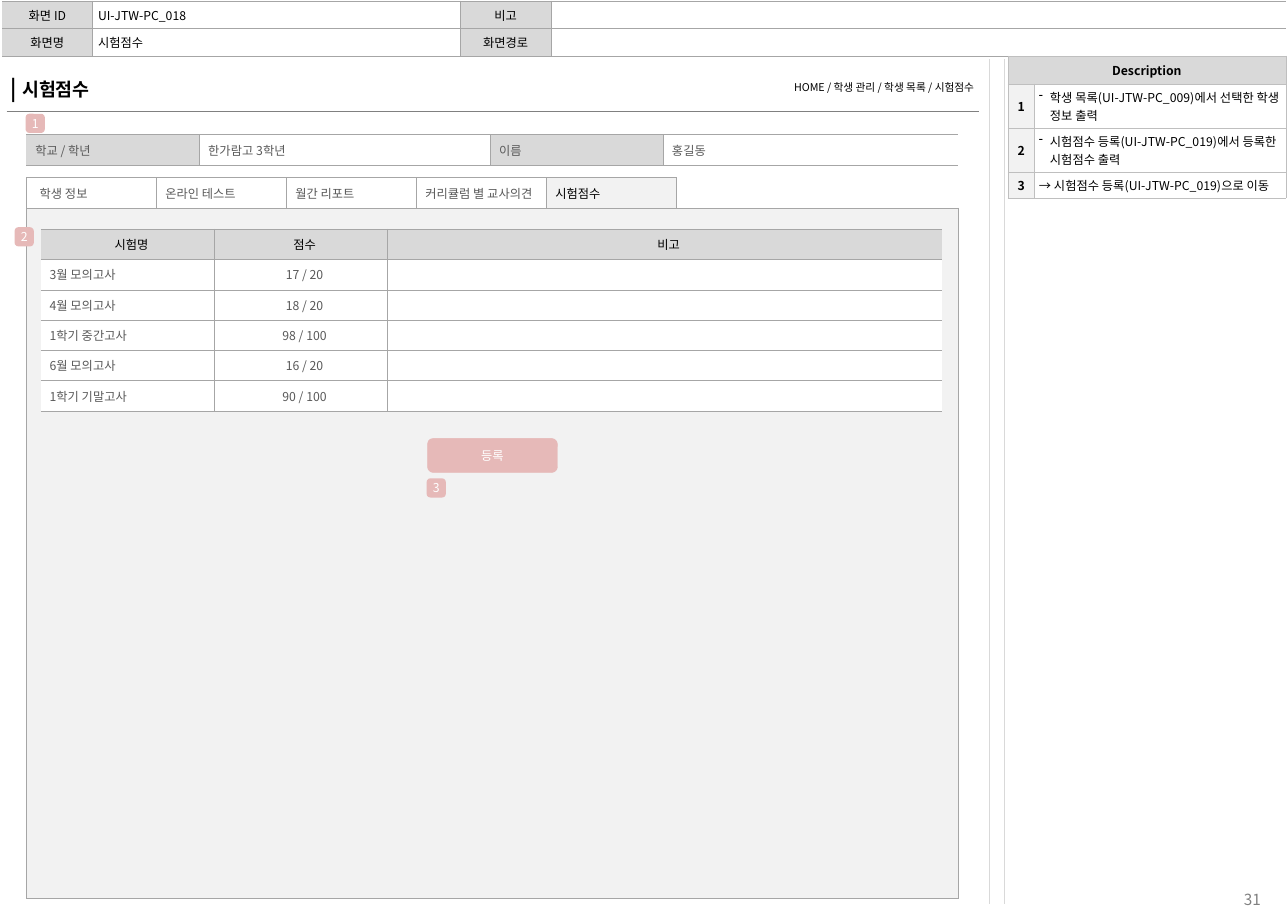
from dataclasses import dataclass, replace
from typing import NamedTuple

from lxml import etree
from pptx import Presentation
from pptx.dml.color import RGBColor
from pptx.enum.shapes import MSO_CONNECTOR as Link, MSO_SHAPE as Kind
from pptx.enum.text import MSO_ANCHOR as Anchor, PP_ALIGN as Align
from pptx.oxml.ns import qn
from pptx.util import Inches, Pt

FACE = "Noto Sans CJK KR"
WHITE, PALE, GREY, EDGE = "FFFFFF", "F2F2F2", "D9D9D9", "A6A6A6"
BLACK, TEXT, PINK = "000000", "595959", "E6B9B8"


def edges(sides: str, hue: str = EDGE, width: float = 0.25) -> dict:
    return {side: (hue, width) for side in sides}


@dataclass(frozen=True)
class Cell:
    text: str = ""
    fill: str = WHITE
    hue: str = TEXT
    align: Align = Align.LEFT
    size: float = 8
    bold: bool = False
    lead: str = ""
    bullet: bool = False
    pad: tuple = (0.08, 0, 0, 0)
    sides: tuple = tuple(edges("LRTB").items())


class Grid(NamedTuple):
    left: float
    top: float
    cols: list
    rows: list
    cells: list


class Badge(NamedTuple):
    text: str
    left: float
    top: float
    width: float = 0.16
    height: float = 0.16
    line: float = 1


def color(hue: str) -> RGBColor:
    return RGBColor.from_string(hue)


def apply(item, values: dict) -> None:
    for name, value in values.items():
        setattr(item, name, value)


def margins(pad: tuple) -> dict:
    names = ("margin_left", "margin_top", "margin_right", "margin_bottom")
    return dict(zip(names, map(Inches, pad)))


def write(para, text: str, size: float, hue: str, bold: bool = False) -> None:
    run = para.add_run()
    run.text = text
    run.font.color.rgb = color(hue)
    apply(run.font, {"size": Pt(size), "bold": bold, "name": FACE})
    etree.SubElement(run.font._element, qn("a:ea"), typeface=FACE)


def border(cell, sides: dict) -> None:
    props = cell._tc.get_or_add_tcPr()
    for side in "LRTB":
        hue, width = sides.get(side, (None, 0))
        line = etree.SubElement(props, qn(f"a:ln{side}"), w=str(Pt(width)))
        if hue:
            fill = etree.SubElement(line, qn("a:solidFill"))
            etree.SubElement(fill, qn("a:srgbClr"), val=hue)
        else:
            etree.SubElement(line, qn("a:noFill"))


def fill_cell(box, cell: Cell) -> None:
    apply(box, {"vertical_anchor": Anchor.MIDDLE, **margins(cell.pad)})
    border(box, dict(cell.sides))
    box.fill.solid()
    box.fill.fore_color.rgb = color(cell.fill)
    para = box.text_frame.paragraphs[0]
    para.alignment = cell.align
    if cell.bullet:
        props = para._p.get_or_add_pPr()
        props.set("marL", str(Inches(0.1)))
        props.set("indent", str(Inches(-0.1)))
        etree.SubElement(props, qn("a:buChar"), char="-")
    if cell.lead:
        write(para, cell.lead, 14, cell.hue, cell.bold)
    if cell.text:
        write(para, cell.text, cell.size, cell.hue, cell.bold)
    else:
        etree.SubElement(para._p, qn("a:endParaRPr"), sz="800")


def draw_grid(grid: Grid):
    sizes = map(Inches, (grid.left, grid.top, sum(grid.cols), sum(grid.rows)))
    table = slide.shapes.add_table(len(grid.rows), len(grid.cols), *sizes).table
    apply(table, {"first_row": False, "horz_banding": False})
    for col, width in zip(table.columns, grid.cols):
        col.width = Inches(width)
    for r, line in enumerate(grid.cells):
        table.rows[r].height = Inches(grid.rows[r])
        for c, cell in enumerate(line):
            fill_cell(table.cell(r, c), cell)
    return table


def draw_badge(badge: Badge) -> None:
    sizes = map(Inches, (badge.left, badge.top, badge.width, badge.height))
    shape = slide.shapes.add_shape(Kind.ROUNDED_RECTANGLE, *sizes)
    shape.shadow.inherit = False
    shape.fill.solid()
    shape.fill.fore_color.rgb = shape.line.color.rgb = color(PINK)
    shape.line.width = Pt(badge.line)
    apply(shape.text_frame, {"vertical_anchor": Anchor.MIDDLE, **margins((0,) * 4)})
    para = shape.text_frame.paragraphs[0]
    para.alignment = Align.CENTER
    write(para, badge.text, 8, WHITE)


def open_row(cells: list) -> list:
    """Leave the outer left and right edges of a row without a line."""
    first, *mid, last = cells
    return [replace(first, sides=tuple(edges("RTB").items())), *mid,
            replace(last, sides=tuple(edges("LTB").items()))]


deck = Presentation()
apply(deck, {"slide_width": Inches(11.69), "slide_height": Inches(8.27)})
slide = deck.slides.add_slide(deck.slide_layouts[6])

# Page number and divider lines
page = slide.shapes.add_textbox(*map(Inches, (11.18, 8.02, 0.62, 0.45))).text_frame
apply(page, {"word_wrap": True, **margins((0.11, 0.06, 0.11, 0.06))})
write(page.paragraphs[0], "31", 10, "808080")
for x in (8.98, 9.12):
    rule = slide.shapes.add_connector(Link.STRAIGHT, *map(Inches, (x, 0.54, x, 8.21)))
    rule.line.color.rgb = color(GREY)
    rule.line.width = Pt(0.75)
    etree.SubElement(rule._element.spPr, qn("a:effectLst"))

# Tabs with their panel
names = ["학생 정보", "온라인 테스트", "월간 리포트", "커리큘럼 별 교사의견"]
tabs = [Cell(name) for name in names]
tabs[0] = replace(tabs[0], pad=(0.12, 0, 0, 0))
tabs += [Cell("시험점수", PALE, BLACK), Cell(sides=tuple(edges("LB").items()))]
inner = Cell(fill=PALE, sides=tuple(edges("TB").items()))
panel = [Cell(fill=PALE), *[inner] * 4, replace(inner, sides=tuple(edges("RTB").items()))]
table = draw_grid(Grid(0.24, 1.61, [1.18] * 5 + [2.56], [0.28, 6.26], [tabs, panel]))
table.cell(1, 0).merge(table.cell(1, 5))

# Title and breadcrumb
under = edges("B", "808080")
title = Cell("시험점수", hue=BLACK, size=12, bold=True, lead="| ", pad=(0.04, 0.08, 0, 0.08),
             sides=tuple((under | edges("R", WHITE, 1)).items()))
crumb = Cell("HOME / 학생 관리 / 학생 목록 / 시험점수", hue=BLACK, size=7, align=Align.RIGHT,
             pad=(0, 0.08, 0.04, 0.08), sides=tuple((under | edges("LR", WHITE, 1)).items()))
draw_grid(Grid(0.06, 0.57, [4.41] * 2, [0.44], [[title, crumb]]))

# Screen header
value = Cell(hue=BLACK, pad=(0.05, 0.04, 0.05, 0.04))
label = replace(value, fill=GREY, align=Align.CENTER)
facts = [("화면 ID", "UI-JTW-PC_018", "비고"), ("화면명", "시험점수", "화면경로")]
head = [open_row([replace(label, text=a), replace(value, text=b), replace(label, text=c), value])
        for a, b, c in facts]
draw_grid(Grid(0.02, 0.01, [0.82, 3.34, 0.82, 6.67], [0.25] * 2, head))

# Scores
scores = [("3월 모의고사", "17 / 20"), ("4월 모의고사", "18 / 20"), ("1학기 중간고사", "98 / 100"),
          ("6월 모의고사", "16 / 20"), ("1학기 기말고사", "90 / 100")]
lines = [open_row([Cell(t, GREY, BLACK, Align.CENTER) for t in ("시험명", "점수", "비고")])]
lines += [open_row([Cell(exam), Cell(mark, align=Align.CENTER), Cell()]) for exam, mark in scores]
draw_grid(Grid(0.37, 2.08, [1.57, 1.57, 5.04], [1.65 / 6] * 6, lines))

# Student
pupil = open_row([Cell("학교 / 학년", GREY), Cell("한가람고 3학년"), Cell("이름", GREY), Cell("홍길동")])
draw_grid(Grid(0.24, 1.22, [1.57, 2.64, 1.57, 2.68], [0.28], [pupil]))

# Description
note = Cell(hue=BLACK, pad=(0.04,) * 4, sides=tuple(edges("LRTB", "BFBFBF").items()))
key = replace(note, fill=PALE, align=Align.CENTER, bold=True)
notes = ["학생 목록(UI-JTW-PC_009)에서 선택한 학생 정보 출력",
         "시험점수 등록(UI-JTW-PC_019)에서 등록한 시험점수 출력",
         "→ 시험점수 등록(UI-JTW-PC_019)으로 이동"]
lines = [[replace(key, text="Description", fill=GREY), replace(key, fill=GREY)]]
lines += [[replace(key, text=str(n)), replace(note, text=t, bullet=t[0] != "→")]
          for n, t in enumerate(notes, 1)]
table = draw_grid(Grid(9.15, 0.51, [0.24, 2.28], [0.25, 0.4, 0.4, 0.24], lines))
table.cell(0, 0).merge(table.cell(0, 1))

# Button and number badges
for badge in (Badge("등록", 3.88, 3.98, 1.18, 0.31, 0.25), Badge("1", 0.24, 1.04),
              Badge("2", 0.14, 2.07), Badge("3", 3.88, 4.35)):
    draw_badge(badge)

deck.save("out.pptx")
